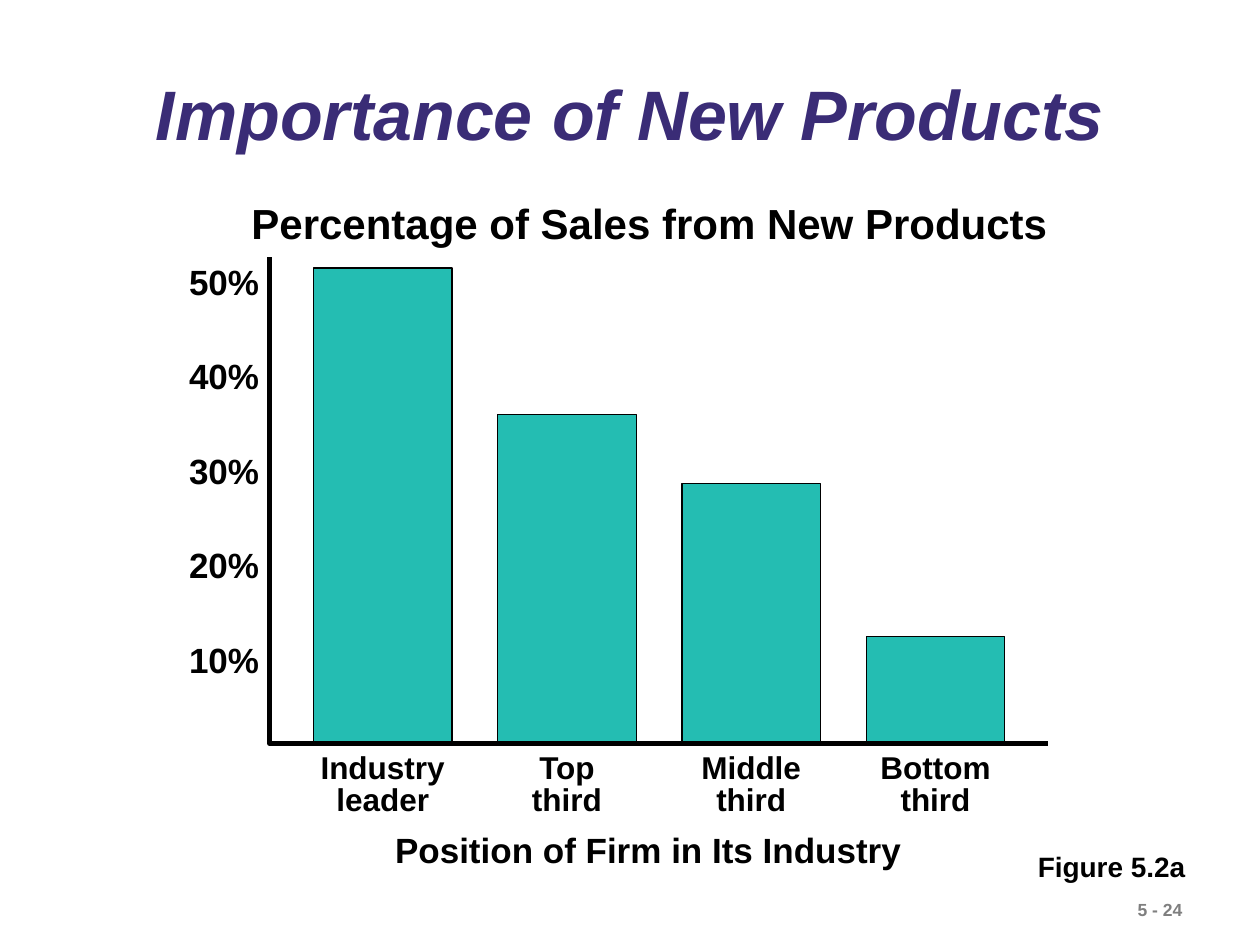
from dataclasses import dataclass

from pptx import Presentation
from pptx.dml.color import RGBColor
from pptx.enum.shapes import MSO_SHAPE
from pptx.enum.text import MSO_ANCHOR, PP_ALIGN
from pptx.util import Pt

RECTANGLE = MSO_SHAPE.RECTANGLE
LEFT, CENTER, RIGHT = PP_ALIGN.LEFT, PP_ALIGN.CENTER, PP_ALIGN.RIGHT
TOP, MIDDLE = MSO_ANCHOR.TOP, MSO_ANCHOR.MIDDLE
TITLE_ONLY_LAYOUT = 5


@dataclass(frozen=True)
class Theme:
    font: str = "Arial"
    ink: RGBColor = RGBColor(0x00, 0x00, 0x00)
    title_color: RGBColor = RGBColor(0x3A, 0x2C, 0x76)
    bar_color: RGBColor = RGBColor(0x24, 0xBD, 0xB2)
    number_color: RGBColor = RGBColor(0x7F, 0x7F, 0x7F)
    title_size: float = 40
    heading_size: float = 24
    axis_size: float = 20
    category_size: float = 18
    caption_size: float = 16
    number_size: float = 10
    bar_line: float = 0.75
    axis_line: float = 3


THEME = Theme()

TITLE = "Importance of New Products"
SCALE_LABELS = ["50%", "40%", "30%", "20%", "10%"]
# category, bar height, label width
BARS = [
    ("Industry leader", 271.6, 91.4),
    ("Top third", 187.7, 67.7),
    ("Middle third", 148.4, 83.5),
    ("Bottom third", 61, 85.7),
]
# text, (left, top, width, height), size, color
SINGLE_LINES = [
    ("Percentage of Sales from New Products", (136.6, 109.4, 480, 36), THEME.heading_size, THEME.ink),
    ("Position of Firm in Its Industry", (218.7, 470, 310, 31.7), THEME.axis_size, THEME.ink),
    ("Figure 5.2a", (586, 481.7, 104, 26.6), THEME.caption_size, THEME.ink),
    ("5 - 24", (643, 510, 77, 19.4), THEME.number_size, THEME.number_color),
]

TITLE_BOX = (54, 34.4, 612, 66.2)
SCALE_BOX = (90, 115.2, 65.2, 277.2)
AXIS_LEFT, AXIS_TOP, AXIS_RIGHT, BASELINE = 154.1, 146.9, 599, 424.7
FIRST_BAR_LEFT, BAR_WIDTH, BAR_PITCH = 179.1, 79.2, 105.3
LABEL_TOP, LABEL_HEIGHT = 427, 43.9


def points(values):
    return [Pt(value) for value in values]


def format_text(shape, text, size, color=THEME.ink, align=LEFT, anchor=TOP,
                spacing=1.0, wrap=True, italic=False):
    """Write text into a shape, one paragraph per line of the string."""
    frame = shape.text_frame
    frame.text = text
    frame.word_wrap = wrap
    frame.vertical_anchor = anchor
    for paragraph in frame.paragraphs:
        paragraph.alignment = align
        paragraph.line_spacing = spacing
        font = paragraph.font
        font.name, font.size = THEME.font, Pt(size)
        font.bold, font.italic = True, italic
        font.color.rgb = color


def add_text(slide, box, text, size, **text_format):
    format_text(slide.shapes.add_textbox(*points(box)), text, size, **text_format)


def add_title(slide):
    title = slide.shapes.title
    title.left, title.top, title.width, title.height = points(TITLE_BOX)
    format_text(title, TITLE, THEME.title_size, color=THEME.title_color,
                align=CENTER, anchor=MIDDLE, spacing=0.9, italic=True)


def add_bars(slide):
    for index, (category, height, label_width) in enumerate(BARS):
        left = FIRST_BAR_LEFT + index * BAR_PITCH
        label_left = left + (BAR_WIDTH - label_width) / 2
        add_text(slide, (label_left, LABEL_TOP, label_width, LABEL_HEIGHT),
                 category, THEME.category_size, align=CENTER, spacing=0.85)
        bar = slide.shapes.add_shape(
            RECTANGLE, *points((left, BASELINE - height, BAR_WIDTH, height)))
        bar.shadow.inherit = False
        bar.fill.solid()
        bar.fill.fore_color.rgb = THEME.bar_color
        bar.line.color.rgb = THEME.ink
        bar.line.width = Pt(THEME.bar_line)


def add_axes(slide):
    builder = slide.shapes.build_freeform(Pt(AXIS_LEFT), Pt(AXIS_TOP))
    corners = [(AXIS_LEFT, BASELINE), (AXIS_RIGHT, BASELINE)]
    builder.add_line_segments([points(corner) for corner in corners], close=False)
    axes = builder.convert_to_shape()
    axes.shadow.inherit = False
    axes.fill.background()
    axes.line.color.rgb = THEME.ink
    axes.line.width = Pt(THEME.axis_line)


def main():
    presentation = Presentation()
    presentation.slide_width, presentation.slide_height = Pt(720), Pt(540)
    slide = presentation.slides.add_slide(presentation.slide_layouts[TITLE_ONLY_LAYOUT])
    add_title(slide)
    add_bars(slide)
    for text, box, size, color in SINGLE_LINES:
        add_text(slide, box, text, size, color=color, wrap=False)
    add_text(slide, SCALE_BOX, "\n".join(SCALE_LABELS), THEME.axis_size,
             align=RIGHT, spacing=2.25)
    add_axes(slide)
    presentation.save("out.pptx")


if __name__ == "__main__":
    main()
